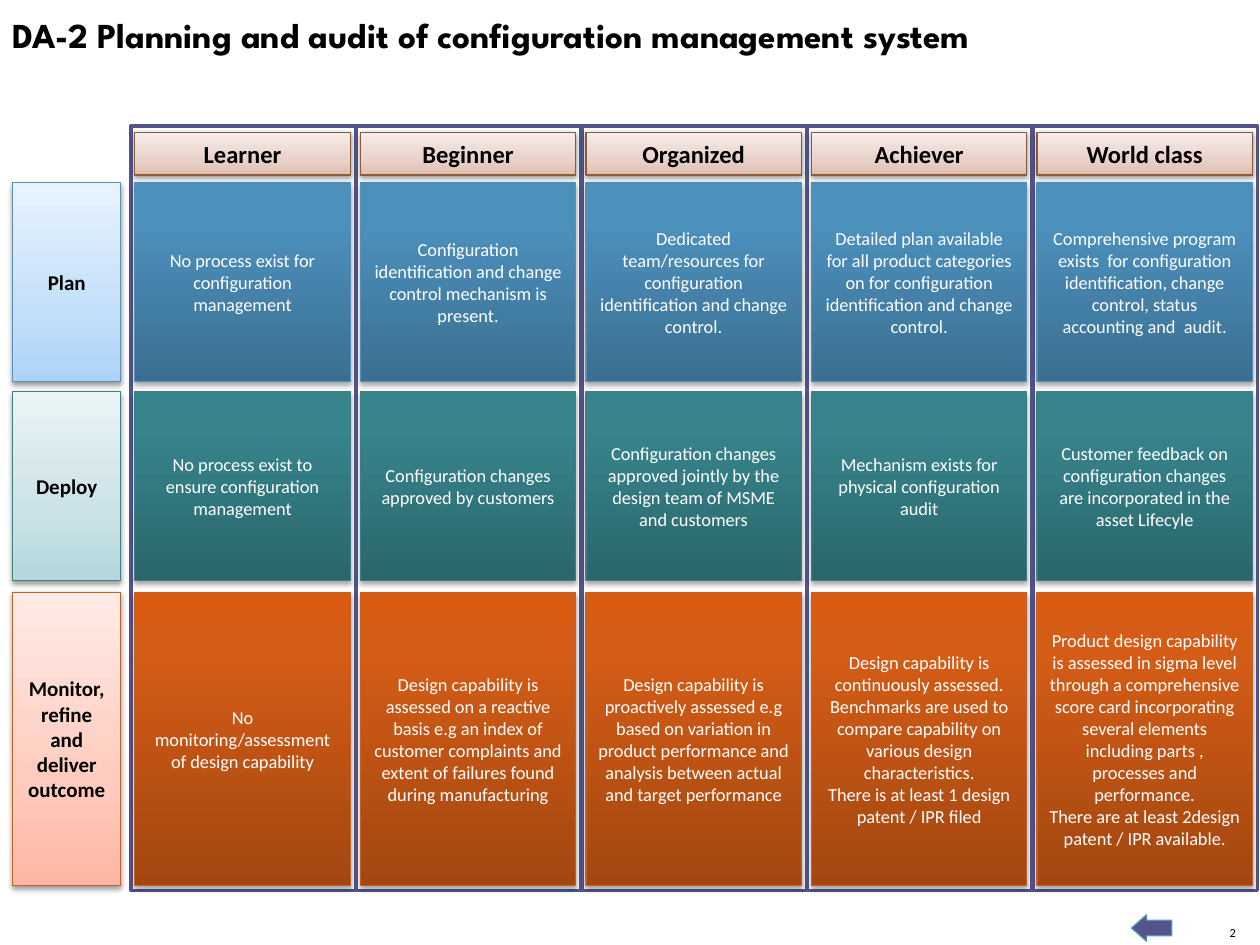
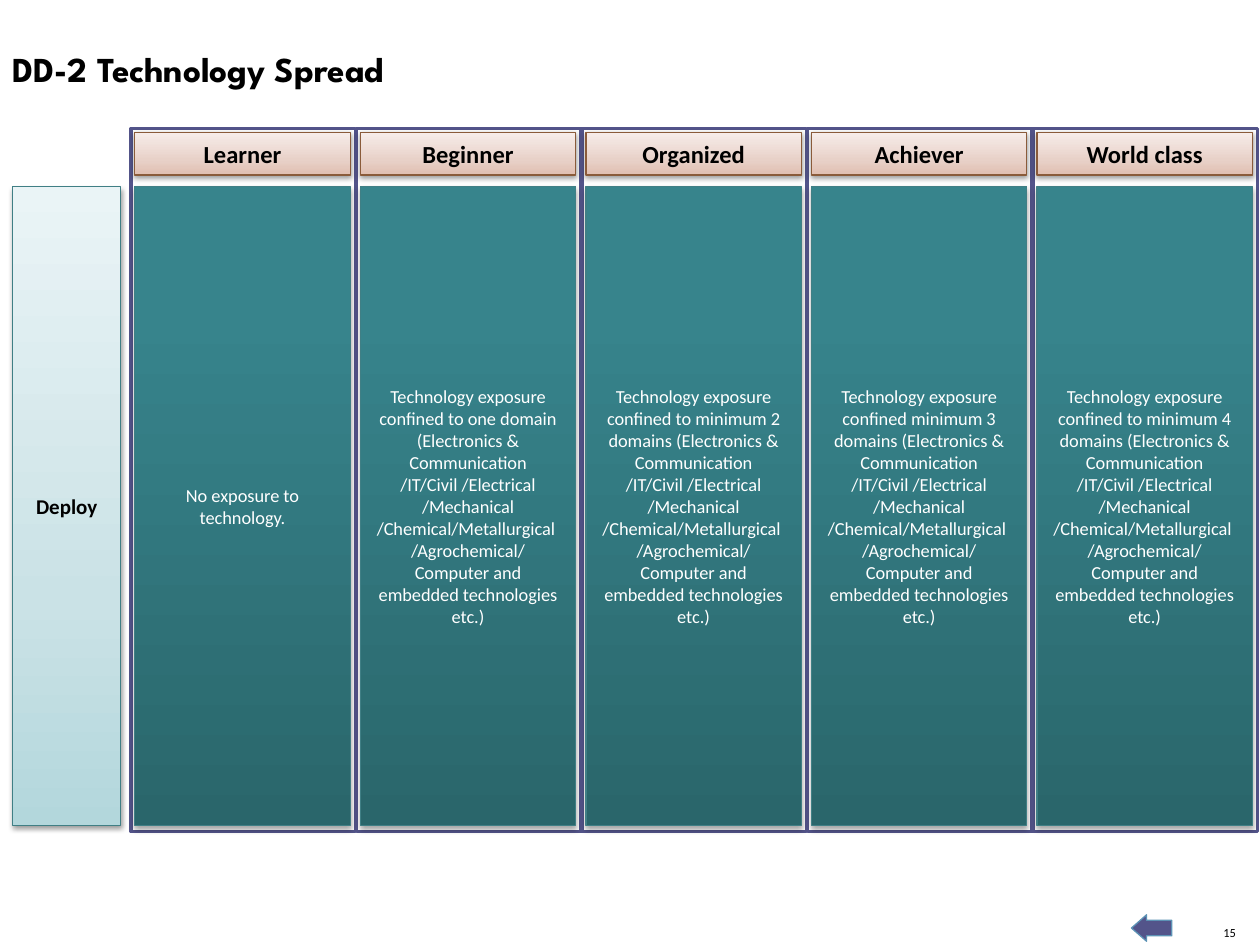
from lxml.etree import SubElement
from pptx import Presentation
from pptx.dml.color import RGBColor
from pptx.enum.shapes import MSO_SHAPE
from pptx.enum.text import MSO_ANCHOR, MSO_AUTO_SIZE, PP_ALIGN
from pptx.oxml.ns import qn
from pptx.util import Inches, Pt

BLACK = RGBColor(0x00, 0x00, 0x00)
WHITE = RGBColor(0xFF, 0xFF, 0xFF)
INDIGO = RGBColor(0x53, 0x54, 0x8A)
ARROW_EDGE = RGBColor(0x5C, 0x92, 0xB5)
BLUE_EDGE = RGBColor(0x58, 0x8F, 0xB3)
TEAL_EDGE = RGBColor(0x40, 0x7F, 0x85)
ORANGE_EDGE = RGBColor(0xC3, 0x62, 0x28)
BROWN_EDGE = RGBColor(0x8A, 0x5B, 0x3A)


def gradient(middle, *colors):
    """Return gradient stops, in percent, from bottom to top."""
    return list(zip((0, middle, 100), map(RGBColor.from_string, colors)))


LEVELS = ["Learner", "Beginner", "Organized", "Achiever", "World class"]
HEADER_STYLE = dict(stops=gradient(35, "E0BEB0", "E8D1C8", "F7EDEA"), edge=BROWN_EDGE)
ROW_STYLES = {
    "Plan": dict(
        edge=BLUE_EDGE,
        label=gradient(35, "ABD3F8", "C4DFF9", "E7F3FE"),
        cell=gradient(80, "3B6F91", "4C90BC", "4A91BF")),
    "Deploy": dict(
        edge=TEAL_EDGE,
        label=gradient(35, "B3D7DC", "CAE2E6", "EAF4F6"),
        cell=gradient(80, "2A666B", "37848C", "36868E")),
    "Monitor, refine and deliver outcome": dict(
        edge=ORANGE_EDGE,
        label=gradient(35, "FFB6A3", "FFCBBE", "FFEBE6"),
        cell=gradient(80, "A34711", "D45C16", "D95C12")),
}

DOMAINS = (
    "(Electronics & Communication /IT/Civil /Electrical /Mechanical "
    "/Chemical/Metallurgical  /Agrochemical/ Computer and embedded technologies etc.)")
EXPOSURES = ["to one domain", "to minimum 2 domains", "minimum 3 domains", "to minimum 4 domains"]

SLIDES = [
    dict(
        title="DA-2 Planning and audit of configuration management system",
        title_box=(0, 0.06, 8.6, 0.77), number="2", frame_top=1.0, frame_height=6.07,
        rows=[
            ("Plan", 1.45, 1.58, [
                "No process exist for configuration management",
                "Configuration identification and change control mechanism is present.",
                "Dedicated team/resources for configuration identification and change control.",
                "Detailed plan available for all product categories on for configuration "
                "identification and change control.",
                "Comprehensive program exists  for configuration identification, change "
                "control, status accounting and  audit.",
            ]),
            ("Deploy", 3.11, 1.5, [
                "No process exist to ensure configuration management",
                "Configuration changes approved by customers",
                "Configuration changes approved jointly by the design team of MSME and customers",
                "Mechanism exists for physical configuration audit",
                "Customer feedback on configuration changes are incorporated in the asset Lifecyle",
            ]),
            ("Monitor, refine and deliver outcome", 4.7, 2.33, [
                "No monitoring/assessment of design capability",
                "Design capability is assessed on a reactive basis e.g an index of customer "
                "complaints and extent of failures found during manufacturing",
                "Design capability is proactively assessed e.g based on variation in product "
                "performance and analysis between actual and target performance",
                "Design capability is continuously assessed. Benchmarks are used to compare "
                "capability on various design characteristics.\n"
                "There is at least 1 design patent / IPR filed",
                "Product design capability is assessed in sigma level through a comprehensive "
                "score card incorporating several elements including parts , processes and "
                "performance.\nThere are at least 2design patent / IPR available.",
            ]),
        ]),
    dict(
        title="DD-2 Technology Spread",
        title_box=(0, 0.33, 8.6, 0.44), number="15", frame_top=1.02, frame_height=5.58,
        rows=[
            ("Deploy", 1.48, 5.07, ["No exposure to technology."] + [
                f"Technology exposure confined {exposure} {DOMAINS}" for exposure in EXPOSURES]),
        ]),
]

LABEL_LEFT, LABEL_WIDTH = 0.1, 0.86
FRAME_LEFT, FRAME_WIDTH = 1.04, 1.78
CELL_LEFT, CELL_WIDTH = 1.07, 1.71
COLUMN_PITCH = 1.79
HEADER_TOP, HEADER_HEIGHT = 1.05, 0.34
NUMBER_BOX = (9.51, 7.24, 0.3, 0.22)
ARROW_BOX = (8.98, 7.26, 0.32, 0.21)


def write_text(shape, text, size, color=BLACK, bold=False, font="Calibri",
               align=PP_ALIGN.CENTER, anchor=MSO_ANCHOR.MIDDLE, inset=None):
    """Fill a shape with formatted text, one paragraph per line."""
    frame = shape.text_frame
    frame.text = text
    frame.word_wrap = True
    frame.auto_size = MSO_AUTO_SIZE.NONE
    frame.vertical_anchor = anchor
    if inset is not None:
        frame.margin_left = frame.margin_right = Inches(inset)
        frame.margin_top = frame.margin_bottom = Inches(inset)
    for paragraph in frame.paragraphs:
        paragraph.alignment = align
        for run in paragraph.runs:
            run.font.name, run.font.size, run.font.bold = font, Pt(size), bold
            run.font.color.rgb = color


def add_box(slide, box, fill, edge, edge_width=0.75, kind=MSO_SHAPE.RECTANGLE):
    """Add a flat preset shape with a solid fill and an outline."""
    shape = slide.shapes.add_shape(kind, *map(Inches, box))
    shape.shadow.inherit = False
    shape.fill.solid()
    shape.fill.fore_color.rgb = fill
    shape.line.color.rgb = edge
    shape.line.width = Pt(edge_width)
    return shape


def add_color(parent, color):
    """Append an RGB colour element and return it."""
    return SubElement(parent, qn("a:srgbClr"), val=str(color))


def add_tile(slide, box, text, stops, edge, shadow_distance=1.6, shadow_opacity=38, **text_format):
    """Add a text tile with a vertical gradient and a soft shadow."""
    tile = add_box(slide, box, WHITE, edge)
    tile.fill.gradient()
    tile.fill.gradient_angle = 90
    properties = tile._element.spPr
    stop_list = properties.find(qn("a:gradFill")).find(qn("a:gsLst"))
    for stop in list(stop_list):
        stop_list.remove(stop)
    for position, color in stops:
        add_color(SubElement(stop_list, qn("a:gs"), pos=str(position * 1000)), color)
    shadow = SubElement(
        properties.find(qn("a:effectLst")), qn("a:outerShdw"), blurRad=str(Pt(3.1)),
        dist=str(Pt(shadow_distance)), dir="5400000", rotWithShape="0")
    SubElement(add_color(shadow, BLACK), qn("a:alpha"), val=str(shadow_opacity * 1000))
    write_text(tile, text, **text_format)


def add_title_and_footer(slide, content):
    """Set the title, the page number and the back arrow."""
    title = slide.shapes.title
    title.left, title.top, title.width, title.height = map(Inches, content["title_box"])
    write_text(title, content["title"], size=20, bold=True, font="League Spartan",
               align=PP_ALIGN.LEFT, anchor=MSO_ANCHOR.TOP)
    number = slide.shapes.add_textbox(*map(Inches, NUMBER_BOX))
    write_text(number, content["number"], size=7.1, align=PP_ALIGN.RIGHT,
               anchor=MSO_ANCHOR.BOTTOM, inset=0)
    arrow = add_box(slide, ARROW_BOX, INDIGO, ARROW_EDGE, kind=MSO_SHAPE.RIGHT_ARROW)
    arrow.rotation = 180
    arrow.adjustments[0], arrow.adjustments[1] = 0.59, 0.57


def add_maturity_grid(slide, content):
    """Draw the row labels, column frames, cells and level headers."""
    offsets = [column * COLUMN_PITCH for column in range(len(LEVELS))]
    for name, top, height, _ in content["rows"]:
        style = ROW_STYLES[name]
        add_tile(slide, (LABEL_LEFT, top, LABEL_WIDTH, height), name,
                 style["label"], style["edge"], size=12, bold=True)
    for offset in offsets:
        add_box(slide, (FRAME_LEFT + offset, content["frame_top"], FRAME_WIDTH,
                        content["frame_height"]), WHITE, INDIGO, edge_width=2)
    for name, top, height, texts in content["rows"]:
        style = ROW_STYLES[name]
        for offset, text in zip(offsets, texts):
            add_tile(slide, (CELL_LEFT + offset, top, CELL_WIDTH, height), text,
                     style["cell"], style["edge"], shadow_distance=1.8, shadow_opacity=35,
                     size=10.5, color=WHITE)
    for offset, level in zip(offsets, LEVELS):
        add_tile(slide, (CELL_LEFT + offset, HEADER_TOP, CELL_WIDTH, HEADER_HEIGHT), level,
                 **HEADER_STYLE, size=14, bold=True)


def main():
    """Build and save the presentation."""
    presentation = Presentation()
    presentation.slide_width, presentation.slide_height = Inches(10), Inches(7.5)
    for content in SLIDES:
        slide = presentation.slides.add_slide(presentation.slide_layouts[5])
        add_title_and_footer(slide, content)
        add_maturity_grid(slide, content)
    presentation.save("out.pptx")


if __name__ == "__main__":
    main()
